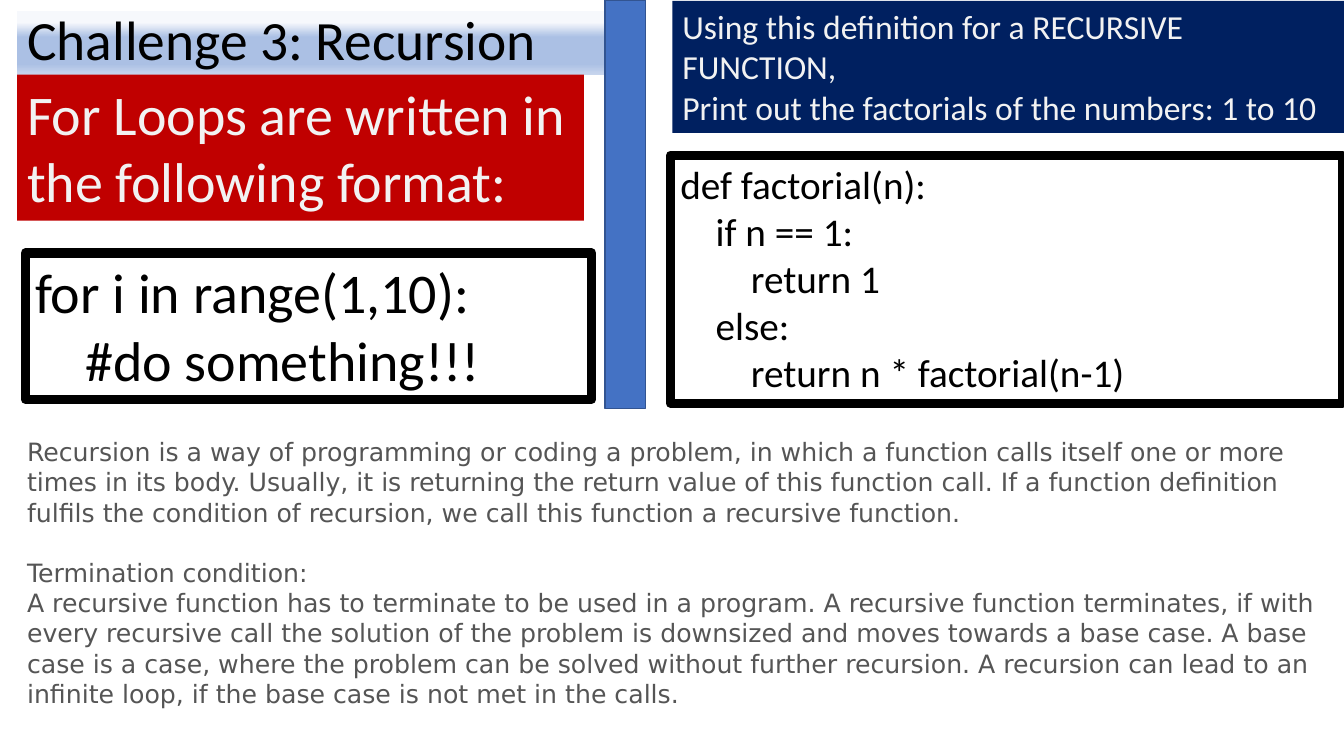
from pptx import Presentation
from pptx.dml.color import RGBColor
from pptx.enum.shapes import MSO_SHAPE
from pptx.enum.text import MSO_ANCHOR, MSO_AUTO_SIZE, PP_ALIGN
from pptx.oxml import parse_xml
from pptx.oxml.ns import nsdecls
from pptx.util import Inches, Pt

TITLE_STOPS = [(18, "F6F8FC"), (41, "ABC0E4"), (83, "ABC0E4"), (100, "C7D5ED")]
LOOP_CODE = [(0, "for i in range(1,10):"), (1, "#do something!!!")]
FACTORIAL_CODE = [
    (0, "def factorial(n):"),
    (1, "if n == 1:"),
    (2, "return 1"),
    (1, "else:"),
    (2, "return n * factorial(n-1)"),
]
TASK = [
    "Using this definition for a RECURSIVE FUNCTION,",
    "Print out the factorials of the numbers: 1 to 10",
]
EXPLANATION = [
    "Recursion is a way of programming or coding a problem, in which a function calls itself "
    "one or more times in its body. Usually, it is returning the return value of this function "
    "call. If a function definition fulfils the condition of recursion, we call this function "
    "a recursive function.",
    "Termination condition:",
    "A recursive function has to terminate to be used in a program. A recursive function "
    "terminates, if with every recursive call the solution of the problem is downsized and "
    "moves towards a base case. A base case is a case, where the problem can be solved without "
    "further recursion. A recursion can lead to an infinite loop, if the base case is not met "
    "in the calls.",
]


def color(value):
    """Turn a hex string into a colour."""
    return RGBColor.from_string(value)


def write(paragraph, text, size=18, fill="000000", font="Calibri", indent=0, before=0, spacing=1.0):
    """Write formatted text into a paragraph."""
    run = paragraph.add_run()
    run.text = text
    run.font.size = Pt(size)
    run.font.name = font
    run.font.color.rgb = color(fill)
    paragraph.alignment = PP_ALIGN.LEFT
    paragraph.space_before = Pt(before)
    paragraph.line_spacing = spacing
    if indent:
        properties = paragraph._p.get_or_add_pPr()
        properties.set("marL", str(Inches(indent)))
        properties.set("indent", "0")


def add_panel(slide, box, fill=None, outline=None):
    """Add a wrapping text box and return its text frame."""
    panel = slide.shapes.add_textbox(*map(Inches, box))
    if fill:
        panel.fill.solid()
        panel.fill.fore_color.rgb = color(fill)
    if outline:
        panel.line.color.rgb = color(outline)
        panel.line.width = Pt(6.5)
    panel.text_frame.word_wrap = True
    return panel.text_frame


def add_lines(frame, lines, **formatting):
    """Write each line as its own paragraph."""
    for number, line in enumerate(lines):
        paragraph = frame.add_paragraph() if number else frame.paragraphs[0]
        write(paragraph, line, **formatting)


def add_code(slide, box, lines, size, step):
    """Add an outlined code box whose levels are indented by a step."""
    frame = add_panel(slide, box, outline="000000")
    for number, (level, line) in enumerate(lines):
        paragraph = frame.add_paragraph() if number else frame.paragraphs[0]
        write(paragraph, line, size=size, indent=level * step)


def add_title(slide, box):
    """Place the title on its gradient band."""
    title = slide.shapes.title
    title.left, title.top, title.width, title.height = map(Inches, box)
    stops = "".join(
        f'<a:gs pos="{position * 1000}"><a:srgbClr val="{value}"/></a:gs>'
        for position, value in TITLE_STOPS
    )
    gradient = parse_xml(
        f'<a:gradFill {nsdecls("a")} rotWithShape="1"><a:gsLst>{stops}</a:gsLst>'
        '<a:lin ang="5400000" scaled="1"/></a:gradFill>'
    )
    title._element.spPr.append(gradient)
    frame = title.text_frame
    frame.auto_size = MSO_AUTO_SIZE.NONE
    frame.vertical_anchor = MSO_ANCHOR.MIDDLE
    write(frame.paragraphs[0], "Challenge 3: Recursion", size=39.6, spacing=0.9)


def add_divider(slide, box):
    """Add the vertical bar between the two halves."""
    bar = slide.shapes.add_shape(MSO_SHAPE.RECTANGLE, *map(Inches, box))
    bar.shadow.inherit = False
    bar.fill.solid()
    bar.fill.fore_color.rgb = color("4472C4")
    bar.line.color.rgb = color("325491")
    bar.line.width = Pt(1)


def add_loop_half(slide, left, top, width):
    """Add the for loop heading and its code."""
    heading = add_panel(slide, (left, top, width, 1.45), fill="C00000")
    add_lines(heading, ["For Loops are written in the following format:"], size=40, fill="F2F2F2")
    add_code(slide, (left + 0.08, top + 1.77, width, 1.45), LOOP_CODE, 40, 0.5)


def add_recursion_half(slide, left, top, width):
    """Add the factorial task and its code."""
    task = add_panel(slide, (left, top, width, 1.31), fill="002060")
    add_lines(task, TASK, size=24, fill="F2F2F2")
    add_code(slide, (left - 0.02, top + 1.53, width, 2.46), FACTORIAL_CODE, 28, 0.35)


def add_explanation(slide, box):
    """Add the description of recursion below both halves."""
    frame = add_panel(slide, box)
    add_lines(frame, EXPLANATION, size=18, fill="555555", font="DejaVu Sans")
    frame.paragraphs[1].space_before = Pt(21.5)


def main():
    """Build and save the presentation."""
    presentation = Presentation()
    presentation.slide_width = Inches(13.33)
    presentation.slide_height = Inches(7.5)
    slide = presentation.slides.add_slide(presentation.slide_layouts[5])
    add_title(slide, (0.17, 0.11, 6.24, 0.63))
    add_loop_half(slide, 0.17, 0.74, 5.62)
    add_recursion_half(slide, 6.67, 0.01, 6.67)
    add_divider(slide, (6, 0, 0.4, 4.05))
    add_explanation(slide, (0.17, 4.28, 13.03, 2.83))
    presentation.save("out.pptx")


if __name__ == "__main__":
    main()
